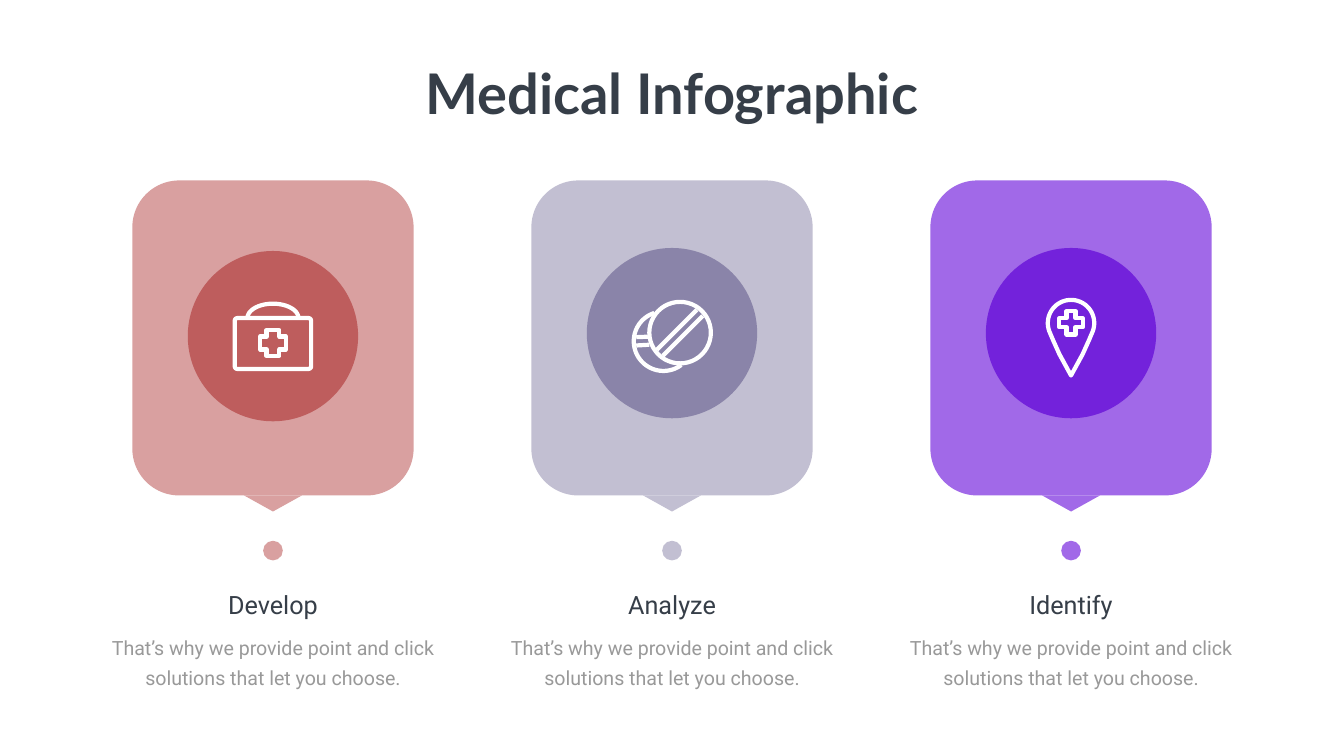
from math import cos, radians, sin

from lxml import etree
from pptx import Presentation
from pptx import util as u
from pptx.dml.color import RGBColor
from pptx.enum import shapes, text
from pptx.oxml.ns import qn

COLORS = {
    "ink": "363E48", "muted": "999999", "white": "FFFFFF",
    "rose": "D9A0A0", "rose_deep": "BE5D5D",
    "lilac": "C2BFD2", "lilac_deep": "8A84A9",
    "violet": "A169E8", "violet_deep": "7322DB",
}
SHAPE = shapes.MSO_SHAPE
SLIDE_WIDTH, SLIDE_HEIGHT = u.Inches(26.66), u.Inches(15)
CELL = SLIDE_HEIGHT / 100  # square grid, 100 rows high
CENTER = SLIDE_WIDTH / CELL / 2
PITCH = 52.77
BLURB = "That’s why we provide point and click solutions that let you choose."


def arc(cx, cy, rx, ry, start, end, steps=40):
    """Points along an ellipse, angles in degrees, clockwise from the right."""
    angles = [radians(start + (end - start) * i / steps) for i in range(steps + 1)]
    return [(cx + rx * cos(a), cy + ry * sin(a)) for a in angles]


class Painter:
    """Draws on one slide; all lengths are in grid cells."""

    def __init__(self, slide):
        self.slide = slide
        self.stroke = u.Pt(6)

    def color(self, name):
        return RGBColor.from_string(COLORS[name])

    def solid(self, kind, cx, top, width, height, fill, rotation=0):
        shape = self.slide.shapes.add_shape(
            kind, *(round(v * CELL) for v in (cx - width / 2, top, width, height)))
        shape.shadow.inherit = False
        shape.fill.solid()
        shape.fill.fore_color.rgb = self.color(fill)
        shape.line.fill.background()
        shape.rotation = rotation
        return shape

    def ink_line(self, line):
        line.color.rgb = self.color("white")
        line.width = self.stroke
        etree.SubElement(line._get_or_add_ln(), qn("a:round"))

    def outline(self, kind, cx, cy, width, height, adjust=None):
        shape = self.solid(kind, cx, cy - height / 2, width, height, "white")
        shape.fill.background()
        self.ink_line(shape.line)
        if adjust is not None:
            shape.adjustments[0] = adjust

    def curve(self, cx, cy, points, close=False):
        """Stroke a path whose points are offsets from (cx, cy)."""
        spots = [(round((cx + x) * CELL), round((cy + y) * CELL)) for x, y in points]
        builder = self.slide.shapes.build_freeform(*spots[0], scale=1.0)
        builder.add_line_segments(spots[1:], close=close)
        shape = builder.convert_to_shape()
        shape.shadow.inherit = False
        shape.fill.background()
        self.ink_line(shape.line)

    def segment(self, cx, cy, x1, y1, x2, y2):
        ends = (cx + x1, cy + y1, cx + x2, cy + y2)
        line = self.slide.shapes.add_connector(
            shapes.MSO_CONNECTOR.STRAIGHT, *(round(v * CELL) for v in ends))
        self.ink_line(line.line)
        etree.SubElement(line._element.spPr, qn("a:effectLst"))

    def label(self, words, cx, top, width, height, size, font="Roboto",
              color="ink", bold=False, spacing=None):
        box = self.slide.shapes.add_textbox(
            *(round(v * CELL) for v in (cx - width / 2, top, width, height)))
        frame = box.text_frame
        frame.word_wrap = True
        frame.text = words
        paragraph = frame.paragraphs[0]
        paragraph.alignment = text.PP_ALIGN.CENTER
        if spacing:
            paragraph.line_spacing = u.Pt(spacing)
        style = paragraph.runs[0].font
        style.name, style.size, style.bold = font, u.Pt(size), bold
        style.color.rgb = self.color(color)

    def first_aid_bag(self, cx, cy):
        self.outline(SHAPE.ROUNDED_RECTANGLE, cx, cy + 0.97, 10.1, 6.73, 0.05)
        self.curve(cx, cy, arc(0, -2.4, 3.37, 1.9, 180, 360))
        self.outline(SHAPE.CROSS, cx, cy + 0.9, 3.4, 3.4, 0.25)

    def pills(self, cx, cy):
        self.outline(SHAPE.OVAL, cx + 1.07, cy - 0.07, 8.14, 8.14)
        self.curve(cx, cy, arc(-1.13, 1.07, 3.93, 3.93, 53, 252))
        for groove in ((-2, 2.2, 3.3, -3.1), (-1.2, 2.97, 4.07, -2.3),
                       (-4.73, 0.53, -3.2, 0.47), (-4.73, 1.63, -3, 1.53)):
            self.segment(cx, cy, *groove)

    def map_pin(self, cx, cy):
        right_side = [(2.4, 0.87), (1.53, 2.8)]
        left_side = [(-x, y) for x, y in reversed(right_side)]
        head = arc(0, -1.33, 3.07, 3.07, 160, 380)
        self.curve(cx, cy, head + right_side + [(0, 5.6)] + left_side, close=True)
        self.outline(SHAPE.CROSS, cx, cy - 1.37, 3.1, 3.1, 0.31)

    def step(self, cx, heading, tint, badge_y, icon):
        self.solid(SHAPE.ROUNDED_RECTANGLE, cx, 23.87, 37.2, 41.67, tint)
        self.solid(SHAPE.ISOSCELES_TRIANGLE, cx, 65.53, 7.67, 2.13, tint, 180)
        self.solid(SHAPE.OVAL, cx, 71.53, 2.6, 2.6, tint)
        self.solid(SHAPE.OVAL, cx, badge_y - 11.27, 22.53, 22.53, tint + "_deep")
        icon(cx, badge_y)
        self.label(heading, cx, 77.67, 29.4, 4.73, 36)
        self.label(BLURB, cx, 82.87, 46.73, 8.33, 28, color="muted", spacing=43)


def main():
    deck = Presentation()
    deck.slide_width, deck.slide_height = SLIDE_WIDTH, SLIDE_HEIGHT
    painter = Painter(deck.slides.add_slide(deck.slide_layouts[6]))
    painter.label("Medical Infographic", CENTER, 7.47, 67.93, 9.67, 80,
                  font="Lato", bold=True)
    steps = [
        ("Develop", "rose", 44.47, painter.first_aid_bag),
        ("Analyze", "lilac", 44.07, painter.pills),
        ("Identify", "violet", 44.07, painter.map_pin),
    ]
    for i, details in enumerate(steps):
        painter.step(CENTER + (i - 1) * PITCH, *details)
    deck.save("out.pptx")


if __name__ == "__main__":
    main()
